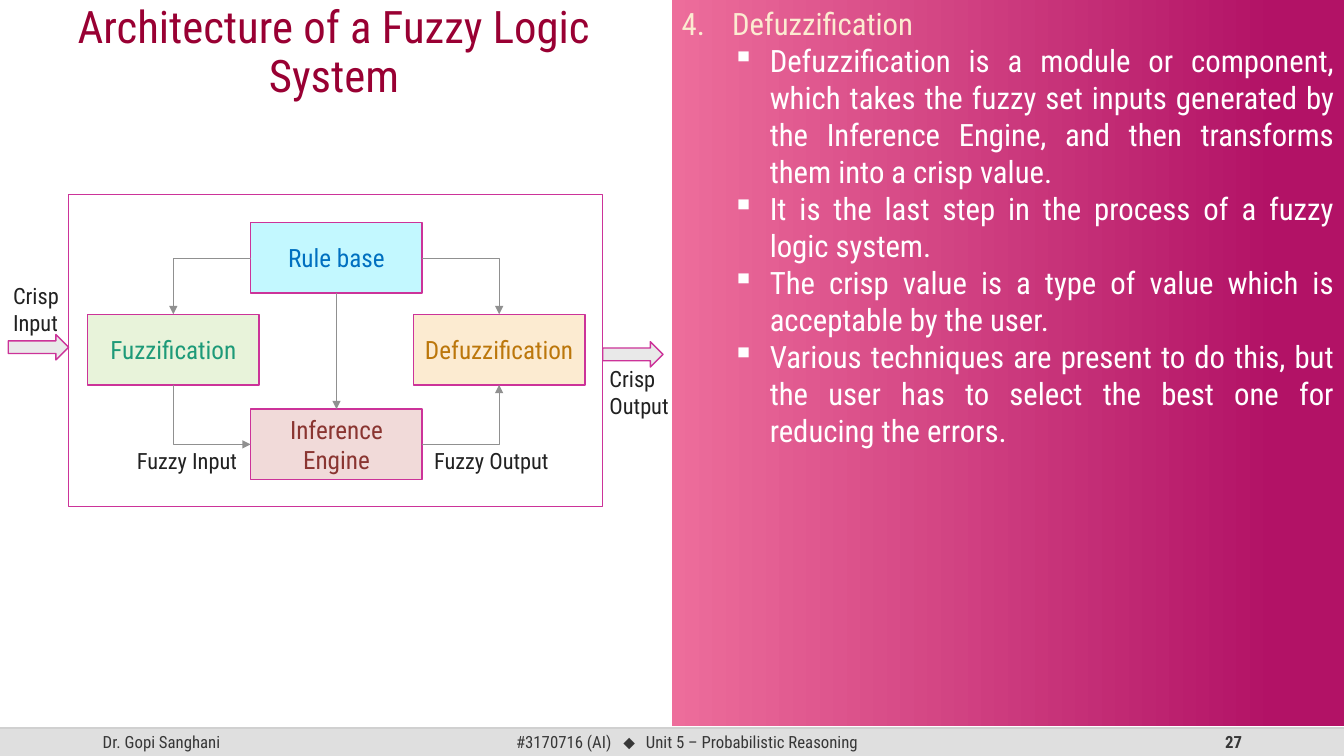
from collections import namedtuple

from lxml.etree import SubElement
from pptx import Presentation
from pptx.dml.color import RGBColor
from pptx.enum.shapes import MSO_CONNECTOR, MSO_SHAPE
from pptx.enum.text import MSO_ANCHOR, MSO_AUTO_SIZE, PP_ALIGN
from pptx.oxml.ns import qn
from pptx.util import Cm, Pt

FONT = "Roboto Condensed"
WHITE = RGBColor(0xFF, 0xFF, 0xFF)
CREAM = RGBColor(0xFC, 0xEB, 0xD1)
CRIMSON = RGBColor(0x99, 0x00, 0x33)
MAGENTA = RGBColor(0xCC, 0x33, 0x99)
DEEP_PINK = RGBColor(0xB2, 0x12, 0x66)
LIGHT_PINK = RGBColor(0xED, 0x6D, 0x9B)
INK = RGBColor(0x21, 0x21, 0x21)
FOOTER_INK = RGBColor(0x37, 0x37, 0x37)
FOOTER_GREY = RGBColor(0xDF, 0xDF, 0xDF)
RULE_GREY = RGBColor(0xBF, 0xBF, 0xBF)
ARROW_GREY = RGBColor(0xE9, 0xE9, 0xE9)
CONNECTOR_GREY = RGBColor(0x90, 0x90, 0x90)
GREEN_FILL, GREEN = RGBColor(0xE8, 0xF3, 0xDA), RGBColor(0x1D, 0x9A, 0x78)
BLUE_FILL, BLUE = RGBColor(0xC3, 0xF8, 0xFF), RGBColor(0x00, 0x70, 0xC0)
RED_FILL, RED = RGBColor(0xF1, 0xDA, 0xD9), RGBColor(0x8A, 0x35, 0x31)
OCHRE = RGBColor(0xBC, 0x77, 0x0B)

# All box measures are centimetres
Box = namedtuple("Box", "left top width height")


def lengths(box):
    return [Cm(value) for value in box]


def write(paragraph, text, size=16, color=INK, bold=False, font=FONT,
          align=PP_ALIGN.LEFT, spacing=None):
    """Add one formatted run to a paragraph."""
    paragraph.alignment = align
    if spacing:
        paragraph.line_spacing = spacing
    run = paragraph.add_run()
    run.text = text
    run.font.size = Pt(size)
    run.font.name = font
    run.font.bold = bold
    run.font.color.rgb = color
    return run


def add_box(slide, box, preset=MSO_SHAPE.RECTANGLE, fill=None, line=None):
    shape = slide.shapes.add_shape(preset, *lengths(box))
    shape.shadow.inherit = False
    if fill is None:
        shape.fill.background()
    else:
        shape.fill.solid()
        shape.fill.fore_color.rgb = fill
    if line is None:
        shape.line.fill.background()
    else:
        shape.line.color.rgb = line
        shape.line.width = Pt(1)
    shape.text_frame.word_wrap = True
    return shape


def add_label(slide, box, text, anchor=MSO_ANCHOR.TOP, **style):
    frame = slide.shapes.add_textbox(*lengths(box)).text_frame
    frame.word_wrap = True
    frame.vertical_anchor = anchor
    write(frame.paragraphs[0], text, **style)
    return frame.paragraphs[0]


def add_line(slide, start, end, color, width, kind=MSO_CONNECTOR.STRAIGHT, arrow=None):
    """Draw a connector; arrow is None, 'headEnd' (start) or 'tailEnd' (end)."""
    connector = slide.shapes.add_connector(kind, *lengths(start + end))
    connector.line.color.rgb = color
    connector.line.width = Pt(width)
    properties = connector._element.spPr
    if kind == MSO_CONNECTOR.ELBOW:
        # One bend: across first, then up or down
        properties.find(qn("a:prstGeom")).set("prst", "bentConnector2")
    if arrow:
        SubElement(properties.find(qn("a:ln")), qn(f"a:{arrow}"), type="triangle")
    SubElement(properties, qn("a:effectLst"))
    return connector


def set_bullet(paragraph, tag, margin, hanging, level=0, **attributes):
    paragraph.level = level
    properties = paragraph._p.get_or_add_pPr()
    properties.set("marL", str(Cm(margin)))
    properties.set("indent", str(-Cm(hanging)))
    SubElement(properties, qn(tag), **attributes)


def add_title(slide, box):
    title = slide.shapes.title
    title.left, title.top, title.width, title.height = lengths(box)
    frame = title.text_frame
    frame.word_wrap = True
    frame.auto_size = MSO_AUTO_SIZE.NONE
    frame.vertical_anchor = MSO_ANCHOR.TOP
    write(frame.paragraphs[0], "Architecture of a Fuzzy Logic System", size=32,
          color=CRIMSON, align=PP_ALIGN.CENTER, spacing=0.9)


def add_explanation(slide, box):
    panel = add_box(slide, box)
    panel.fill.gradient()
    panel.fill.gradient_angle = 180
    stops = ((0.1, DEEP_PINK), (1, LIGHT_PINK))
    for stop, (position, color) in zip(panel.fill.gradient_stops, stops):
        stop.position = position
        stop.color.rgb = color

    frame = panel.text_frame
    frame.vertical_anchor = MSO_ANCHOR.TOP
    heading = frame.paragraphs[0]
    set_bullet(heading, "a:buAutoNum", 1.27, 1.27, type="arabicPeriod", startAt="4")
    write(heading, "Defuzzification", size=22, color=CREAM, align=PP_ALIGN.JUSTIFY)
    for point in (
        "Defuzzification is a module or component, which takes the fuzzy set inputs "
        "generated by the Inference Engine, and then transforms them into a crisp value.",
        "It is the last step in the process of a fuzzy logic system.",
        "The crisp value is a type of value which is acceptable by the user.",
        "Various techniques are present to do this, but the user has to select the "
        "best one for reducing the errors.",
    ):
        paragraph = frame.add_paragraph()
        set_bullet(paragraph, "a:buChar", 2.22, 0.95, level=1, char="▪")
        write(paragraph, point, size=22, color=WHITE, align=PP_ALIGN.JUSTIFY)


def add_architecture(slide, box):
    def inside(left, top, width, height):
        return Box(box.left + left, box.top + top, width, height)

    add_box(slide, box, line=MAGENTA)

    # Components
    node_width, node_height = 4.32, 1.78
    nodes = {}
    for name, left, top, fill, color in (
        ("Fuzzification", 0.48, 3.02, GREEN_FILL, GREEN),
        ("Rule base", 4.59, 0.71, BLUE_FILL, BLUE),
        ("Inference Engine", 4.59, 5.41, RED_FILL, RED),
        ("Defuzzification", 8.69, 3.02, CREAM, OCHRE),
    ):
        nodes[name] = inside(left, top, node_width, node_height)
        shape = add_box(slide, nodes[name], fill=fill, line=MAGENTA)
        shape.text_frame.vertical_anchor = MSO_ANCHOR.MIDDLE
        write(shape.text_frame.paragraphs[0], name, size=18, color=color,
              align=PP_ALIGN.CENTER)

    # Block arrows into and out of the system
    arrow_width = 1.52
    for left, top in ((-arrow_width, 3.53), (box.width, 3.71)):
        add_box(slide, inside(left, top, arrow_width, 0.64), MSO_SHAPE.RIGHT_ARROW,
                fill=ARROW_GREY, line=MAGENTA)

    # Connectors between the components
    def site(name, across, down):
        node = nodes[name]
        return node.left + across * node.width, node.top + down * node.height

    elbow, straight = MSO_CONNECTOR.ELBOW, MSO_CONNECTOR.STRAIGHT
    for start, end, kind, arrow in (
        (("Rule base", 0, 0.5), ("Fuzzification", 0.5, 0), elbow, "tailEnd"),
        (("Rule base", 1, 0.5), ("Defuzzification", 0.5, 0), elbow, "tailEnd"),
        (("Rule base", 0.5, 1), ("Inference Engine", 0.5, 0), straight, "tailEnd"),
        (("Inference Engine", 0, 0.5), ("Fuzzification", 0.5, 1), elbow, "headEnd"),
        (("Inference Engine", 1, 0.5), ("Defuzzification", 0.5, 1), elbow, "tailEnd"),
    ):
        add_line(slide, site(*start), site(*end), CONNECTOR_GREY, 0.5, kind, arrow)

    # Flow labels
    for text, *place in (
        ("Crisp Input", -1.65, 2.08, 1.78, 1.52),
        ("Crisp Output", 13.38, 4.17, 2.08, 1.63),
        ("Fuzzy Input", 1.47, 6.25, 3.33, 0.94),
        ("Fuzzy Output", 8.96, 6.25, 3.53, 0.94),
    ):
        add_label(slide, inside(*place), text)


def add_footer(slide, box):
    add_box(slide, box, fill=FOOTER_GREY)
    style = dict(size=12, color=FOOTER_INK)

    def part(left, width, text, **extra):
        place = Box(box.left + left, box.top, width, box.height)
        return add_label(slide, place, text, MSO_ANCHOR.MIDDLE, **style, **extra)

    part(2.34, 7.62, "Dr. Gopi Sanghani")
    centre = dict(align=PP_ALIGN.CENTER)
    course = part(11.23, 12.17, "#3170716 (AI)", **centre)
    diamond = write(course, " ⬥", font="Arial", **style, **centre)
    diamond.font._element.set("spc", "500")
    write(course, " Unit 5 – Probabilistic Reasoning", **style, **centre)
    part(23.93, 7.62, "27", bold=True, align=PP_ALIGN.RIGHT)

    # Top rule
    rule = add_line(slide, (box.left, box.top), (box.left + box.width, box.top),
                    RULE_GREY, 1)
    color = rule._element.spPr.find(".//" + qn("a:srgbClr"))
    SubElement(color, qn("a:alpha"), val="70000")


def main():
    presentation = Presentation()
    presentation.slide_width, presentation.slide_height = Cm(33.87), Cm(19.05)
    slide = presentation.slides.add_slide(presentation.slide_layouts.get_by_name("Title Only"))
    add_footer(slide, Box(0, 18.34, 33.87, 0.71))
    add_explanation(slide, Box(16.93, 0, 16.94, 18.29))
    add_title(slide, Box(0.76, 0, 15.32, 3))
    add_architecture(slide, Box(1.73, 4.9, 13.46, 7.87))
    presentation.save("out.pptx")


if __name__ == "__main__":
    main()
